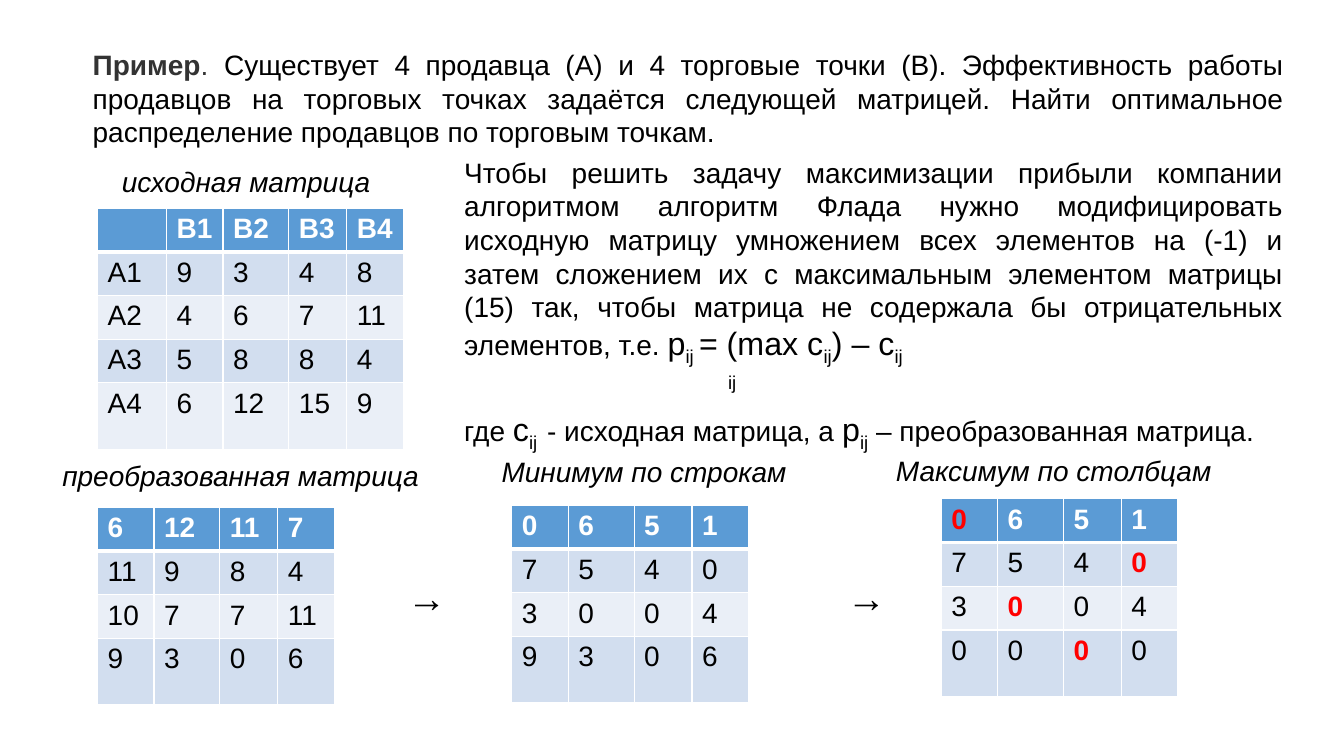
from dataclasses import dataclass

from lxml import etree
from pptx import Presentation
from pptx.dml.color import RGBColor
from pptx.enum.text import MSO_ANCHOR, MSO_AUTO_SIZE, PP_ALIGN
from pptx.oxml.ns import qn
from pptx.util import Cm, Pt

JUSTIFY, LEFT = PP_ALIGN.JUSTIFY, PP_ALIGN.LEFT
TOP = MSO_ANCHOR.TOP
NO_FIT = MSO_AUTO_SIZE.NONE


@dataclass(frozen=True)
class Theme:
    font: str = "Arial"
    text: str = "000000"
    lead: str = "333333"
    optimum: str = "FF0000"
    white: str = "FFFFFF"
    header: str = "5B9BD5"
    bands: tuple = ("D2DEEF", "EAEFF7")
    body_size: int = 20
    formula_size: int = 23
    arrow_size: int = 28


THEME = Theme()


def add_text(paragraph, text, size=THEME.body_size, color=THEME.text,
             bold=False, italic=False, baseline=0):
    run = paragraph.add_run()
    run.text = text
    font = run.font
    font.name, font.size = THEME.font, Pt(size)
    font.bold, font.italic = bold, italic
    font.color.rgb = RGBColor.from_string(color)
    if baseline:
        run._r.get_or_add_rPr().set("baseline", str(baseline * 1000))


def add_box(left, top, width, height):
    frame = slide.shapes.add_textbox(
        Cm(left), Cm(top), Cm(width), Cm(height)).text_frame
    frame.word_wrap = True
    return frame


prs = Presentation()
prs.slide_width, prs.slide_height = Cm(33.87), Cm(19.05)
slide = prs.slides.add_slide(prs.slide_layouts[5])

# Problem statement
problem = slide.shapes.title
problem.left, problem.top = Cm(2.08), Cm(1.07)
problem.width, problem.height = Cm(30.53), Cm(3.68)
problem.text_frame.vertical_anchor = TOP
problem.text_frame.auto_size = NO_FIT
statement = problem.text_frame.paragraphs[0]
statement.alignment = JUSTIFY
add_text(statement, "Пример", color=THEME.lead, bold=True)
add_text(statement, ". ", color=THEME.lead)
add_text(statement, "Существует 4 продавца (А) и 4 торговые точки (В). "
         "Эффективность работы продавцов на торговых точках задаётся следующей "
         "матрицей. Найти оптимальное распределение продавцов по торговым точкам.")

# Method: (text, size, baseline shift) for each run of a paragraph
BODY, FORMULA = THEME.body_size, THEME.formula_size
method_lines = [
    [("Чтобы решить задачу максимизации прибыли компании алгоритмом алгоритм "
      "Флада нужно модифицировать исходную матрицу умножением всех элементов "
      "на (-1) и затем сложением их с максимальным элементом матрицы (15) так, "
      "чтобы матрица не содержала бы отрицательных элементов, т.е. ", BODY, 0),
     ("p", FORMULA, 0), ("ij ", FORMULA, -25), ("= (max c", FORMULA, 0),
     ("ij", FORMULA, -25), (") – c", FORMULA, 0), ("ij", FORMULA, -25)],
    [("ij", FORMULA, 30)],
    [("где ", BODY, 0), ("c", FORMULA, 0), ("ij ", FORMULA, -25),
     (" ", BODY, -25), ("- исходная матрица, а ", BODY, 0), ("p", FORMULA, 0),
     ("ij", FORMULA, -25), (" – преобразованная матрица.", BODY, 0)],
]
method = add_box(11.45, 3.79, 21.13, 7.47)
for index, line in enumerate(method_lines):
    paragraph = method.paragraphs[0] if index == 0 else method.add_paragraph()
    paragraph.alignment = JUSTIFY
    for text, size, baseline in line:
        add_text(paragraph, text, size, baseline=baseline)
_, max_index, legend = method.paragraphs
max_index.alignment = LEFT
max_index._p.get_or_add_pPr().set("marL", str(Cm(6.65)))
legend.line_spacing, legend.space_after = 1.07, Pt(8)

# Matrices: left, top, rows, optimal cells
reduced = [[0, 6, 5, 1], [7, 5, 4, 0], [3, 0, 0, 4]]
matrices = [
    (2.46, 5.24, [["", "B1", "B2", "B3", "B4"], ["A1", 9, 3, 4, 8],
                  ["A2", 4, 6, 7, 11], ["A3", 5, 8, 8, 4],
                  ["A4", 6, 12, 15, 9]], ()),
    (2.46, 12.78, [[6, 12, 11, 7], [11, 9, 8, 4], [10, 7, 7, 11],
                   [9, 3, 0, 6]], ()),
    (12.9, 12.73, reduced + [[9, 3, 0, 6]], ()),
    (23.72, 12.57, reduced + [[0, 0, 0, 0]],
     ((0, 0), (1, 3), (2, 1), (3, 2))),
]
COLUMN_WIDTHS = [1.74, 1.42, 1.66, 1.46, 1.42]
ROW_HEIGHT, LAST_ROW_HEIGHT = 1.05, 1.68

for left, top, rows, optimum in matrices:
    widths = COLUMN_WIDTHS[-len(rows[0]):]
    heights = [ROW_HEIGHT] * (len(rows) - 1) + [LAST_ROW_HEIGHT]
    matrix = slide.shapes.add_table(
        len(rows), len(widths), Cm(left), Cm(top),
        Cm(sum(widths)), Cm(sum(heights))).table
    for column, width in zip(matrix.columns, widths):
        column.width = Cm(width)
    for r, values in enumerate(rows):
        matrix.rows[r].height = Cm(heights[r])
        for c, value in enumerate(values):
            cell = matrix.cell(r, c)
            # Narrow right margin keeps each label on one line
            cell.margin_right = Cm(0.1)
            # White grid, thicker under the header
            properties = cell._tc.get_or_add_tcPr()
            for side in ("lnL", "lnR", "lnT", "lnB"):
                thick = (r, side) in ((0, "lnB"), (1, "lnT"))
                border = etree.SubElement(properties, qn("a:" + side),
                                          w=str(Pt(3 if thick else 1)))
                paint = etree.SubElement(border, qn("a:solidFill"))
                etree.SubElement(paint, qn("a:srgbClr"), val=THEME.white)
            fill = THEME.header if r == 0 else THEME.bands[(r - 1) % 2]
            cell.fill.solid()
            cell.fill.fore_color.rgb = RGBColor.from_string(fill)
            chosen = (r, c) in optimum
            color = (THEME.optimum if chosen
                     else THEME.white if r == 0 else THEME.text)
            if value != "":
                add_text(cell.text_frame.paragraphs[0], str(value),
                         color=color, bold=chosen or r == 0)

# Captions
for caption, left, top, width in [
    ("исходная матрица", 2.82, 4.03, 6.99),
    ("преобразованная матрица", 1.32, 11.43, 10.13),
    ("Минимум по строкам", 12.39, 11.33, 7.95),
    ("Максимум по столбцам", 22.33, 11.3, 8.71),
]:
    add_text(add_box(left, top, width, 1.12).paragraphs[0], caption, italic=True)

# Arrows between the transformation steps
for left in (10.26, 21.34):
    step = add_box(left, 14.45, 1, 1.19)
    step.margin_left = step.margin_right = 0
    step.margin_top = step.margin_bottom = 0
    add_text(step.paragraphs[0], "→", THEME.arrow_size, bold=True)

prs.save("out.pptx")
